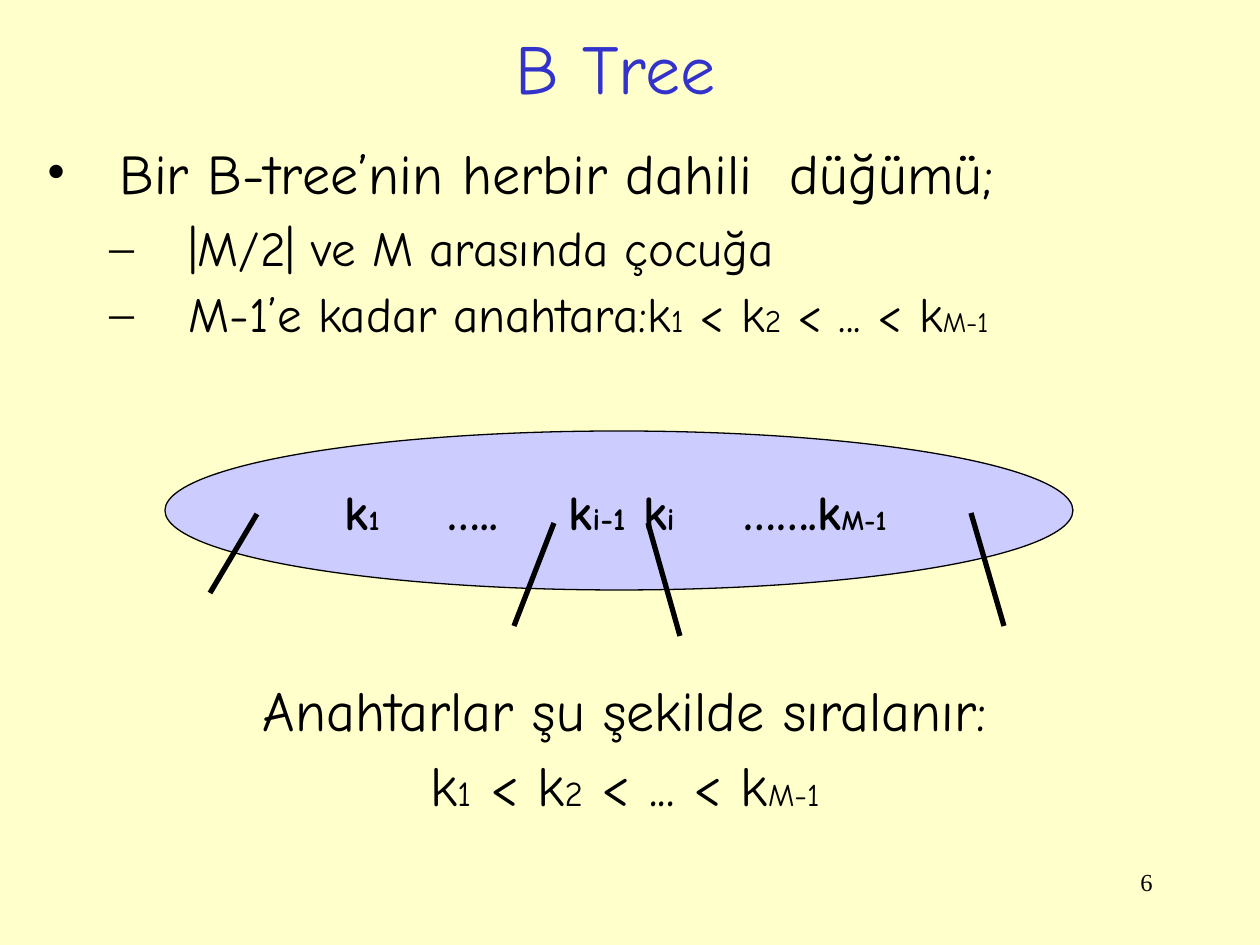
from dataclasses import dataclass

from lxml import etree
from pptx import Presentation
from pptx import util as u
from pptx.dml.color import RGBColor
from pptx.enum import shapes, text
from pptx.oxml.ns import qn

SCALE = 914400 / 126


@dataclass(frozen=True)
class Theme:
    """Colours, fonts and type sizes of the slide."""
    background: str = "FFFFCC"
    title: str = "3333CC"
    ink: str = "000000"
    node: str = "CCCCFF"
    font: str = "Comic Neue"
    number_font: str = "Times New Roman"
    title_size: int = 40
    large: int = 32
    medium: int = 28
    large_index: int = 20
    index: int = 18
    small_index: int = 16
    number: int = 14


THEME = Theme()


def px(value):
    """Turn pixels into EMU."""
    return u.Emu(round(value * SCALE))


def color(value):
    """Turn a hex string into a colour."""
    return RGBColor.from_string(value)


def add_box(slide, left, top, width, height):
    """Add a wrapping text box and return its text frame."""
    shape = slide.shapes.add_textbox(px(left), px(top), px(width), px(height))
    shape.text_frame.word_wrap = True
    return shape.text_frame


def write(paragraph, parts, ink=THEME.ink, font=THEME.font, bold=False,
          align=text.PP_ALIGN.LEFT, before=0):
    """Fill a paragraph with (wording, size) parts."""
    paragraph.alignment = align
    paragraph.space_before = u.Pt(before)
    for wording, size in parts:
        run = paragraph.add_run()
        run.text = wording
        run.font.size = u.Pt(size)
        run.font.name = font
        run.font.bold = bold
        run.font.color.rgb = color(ink)


def add_bullet(paragraph, symbol, margin, hanging):
    """Give a paragraph a bullet and a hanging indent."""
    properties = paragraph._p.get_or_add_pPr()
    properties.set("marL", str(px(margin)))
    properties.set("indent", str(px(-hanging)))
    etree.SubElement(properties, qn("a:buFont"), typeface=THEME.number_font)
    etree.SubElement(properties, qn("a:buChar"), char=symbol)


def add_tabs(paragraph, stops):
    """Set left tab stops, given in pixels."""
    tabs = etree.SubElement(paragraph._p.get_or_add_pPr(), qn("a:tabLst"))
    for stop in stops:
        etree.SubElement(tabs, qn("a:tab"), pos=str(px(stop)), algn="l")


def key_order(size, index, last_index):
    """Return the parts of the ascending key sequence."""
    return [("k", size), ("1", index), (" < k", size), ("2", index),
            (" < ... < k", size), ("M-1", last_index)]


def add_title(slide):
    """Add the slide title."""
    frame = add_box(slide, 91, 19, 1071, 96)
    frame.vertical_anchor = text.MSO_ANCHOR.MIDDLE
    frame.margin_right = px(34)
    write(frame.paragraphs[0], [("B Tree", THEME.title_size)],
          ink=THEME.title, align=text.PP_ALIGN.CENTER)


def add_properties(slide):
    """Add the bulleted properties of an internal node."""
    size = THEME.medium
    keys = key_order(size, THEME.index, THEME.small_index)
    rows = [
        ([("Bir B-tree’nin herbir dahili  düğümü;", THEME.large)], "•", 73, 73, 8),
        ([("|M/2| ve M arasında çocuğa", size)], "–", 142, 79, 7),
        ([("M-1’e kadar anahtara:", size)] + keys, "–", 142, 79, 4),
    ]
    frame = add_box(slide, 34, 132, 1186, 231)
    for number, (parts, symbol, margin, hanging, before) in enumerate(rows):
        paragraph = frame.paragraphs[0] if number == 0 else frame.add_paragraph()
        write(paragraph, parts, before=before)
        add_bullet(paragraph, symbol, margin, hanging)


def add_node(slide):
    """Add the elliptical node with its keys."""
    shape = slide.shapes.add_shape(shapes.MSO_SHAPE.OVAL,
                                   px(165), px(431), px(908), px(159))
    shape.shadow.inherit = False
    shape.fill.solid()
    shape.fill.fore_color.rgb = color(THEME.node)
    shape.line.color.rgb = color(THEME.ink)
    shape.line.width = u.Pt(0.75)
    frame = shape.text_frame
    frame.word_wrap = True
    frame.vertical_anchor = text.MSO_ANCHOR.MIDDLE
    frame.margin_left = px(47)
    frame.margin_right = 0
    size = THEME.medium
    paragraph = frame.paragraphs[0]
    write(paragraph, [("k", size), ("1", THEME.small_index), ("\t…..\tk", size),
                      ("i-1", THEME.index), (" k", size), ("i", THEME.index),
                      ("\t…….k", size), ("M-1", THEME.small_index)], bold=True)
    add_tabs(paragraph, [103, 224, 399])


def add_branch(slide, start, end):
    """Add a line from the node towards a child."""
    branch = slide.shapes.add_connector(shapes.MSO_CONNECTOR.STRAIGHT,
                                        *map(px, start + end))
    branch.line.color.rgb = color(THEME.ink)
    branch.line.width = u.Pt(3)
    etree.SubElement(branch._element.spPr, qn("a:effectLst"))


def add_ordering(slide):
    """Add the statement on how keys are ordered."""
    frame = add_box(slide, 32, 669, 1186, 231)
    write(frame.paragraphs[0], [("Anahtarlar şu şekilde sıralanır:", THEME.large)],
          align=text.PP_ALIGN.CENTER, before=8)
    write(frame.add_paragraph(),
          key_order(THEME.large, THEME.large_index, THEME.index),
          align=text.PP_ALIGN.CENTER, before=4.5)


def add_slide_number(slide):
    """Add the slide number."""
    frame = add_box(slide, 903, 861, 262, 63)
    write(frame.paragraphs[0], [("6", THEME.number)], font=THEME.number_font,
          align=text.PP_ALIGN.RIGHT)


def main():
    """Build and save the slide."""
    presentation = Presentation()
    presentation.slide_width, presentation.slide_height = px(1260), px(945)
    slide = presentation.slides.add_slide(presentation.slide_layouts[6])
    slide.background.fill.solid()
    slide.background.fill.fore_color.rgb = color(THEME.background)
    add_slide_number(slide)
    add_title(slide)
    add_properties(slide)
    add_node(slide)
    for start, end in [((257, 514), (210, 593)), ((554, 523), (514, 626)),
                       ((648, 523), (680, 636)), ((971, 513), (1004, 626))]:
        add_branch(slide, start, end)
    add_ordering(slide)
    presentation.save("out.pptx")


if __name__ == "__main__":
    main()
